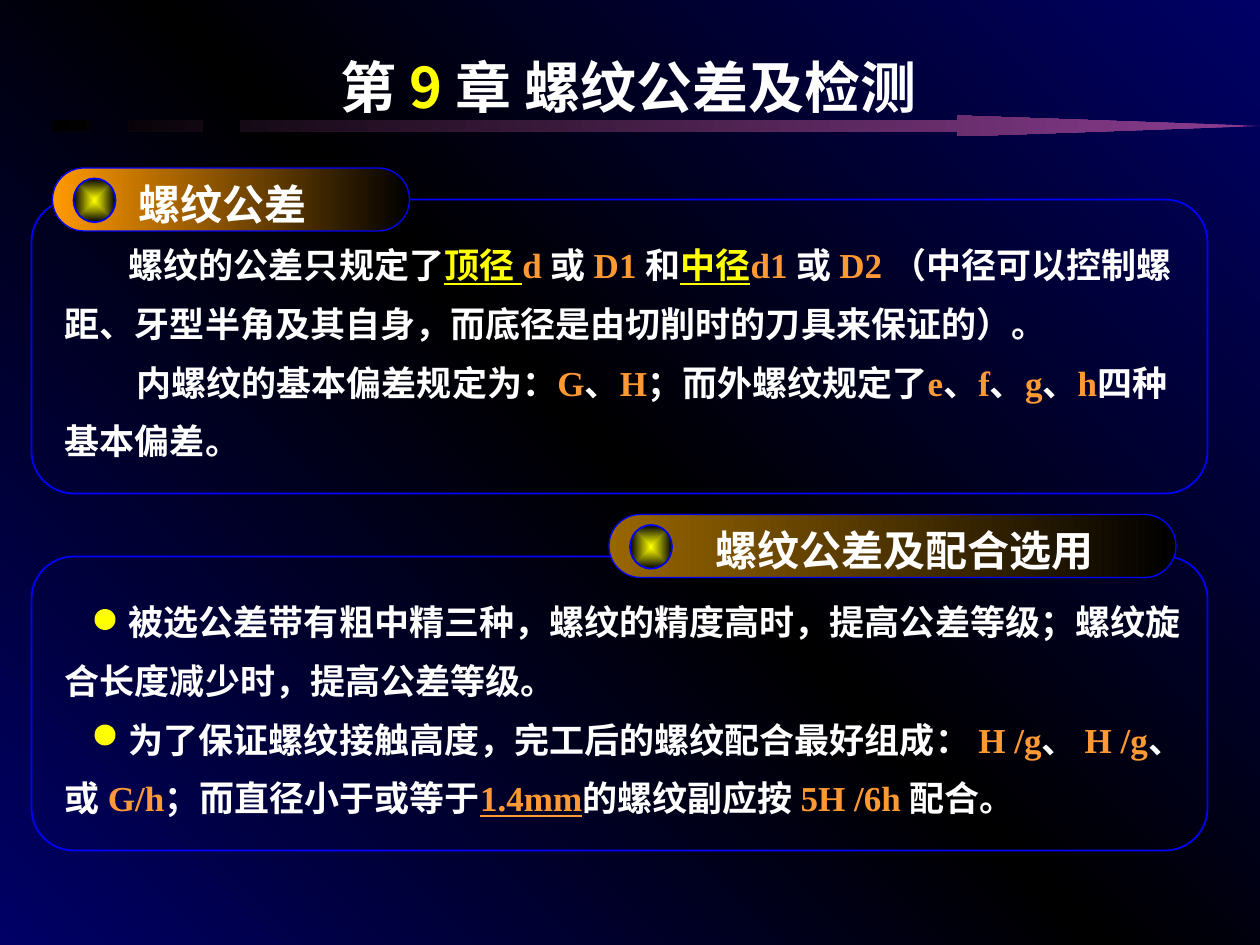
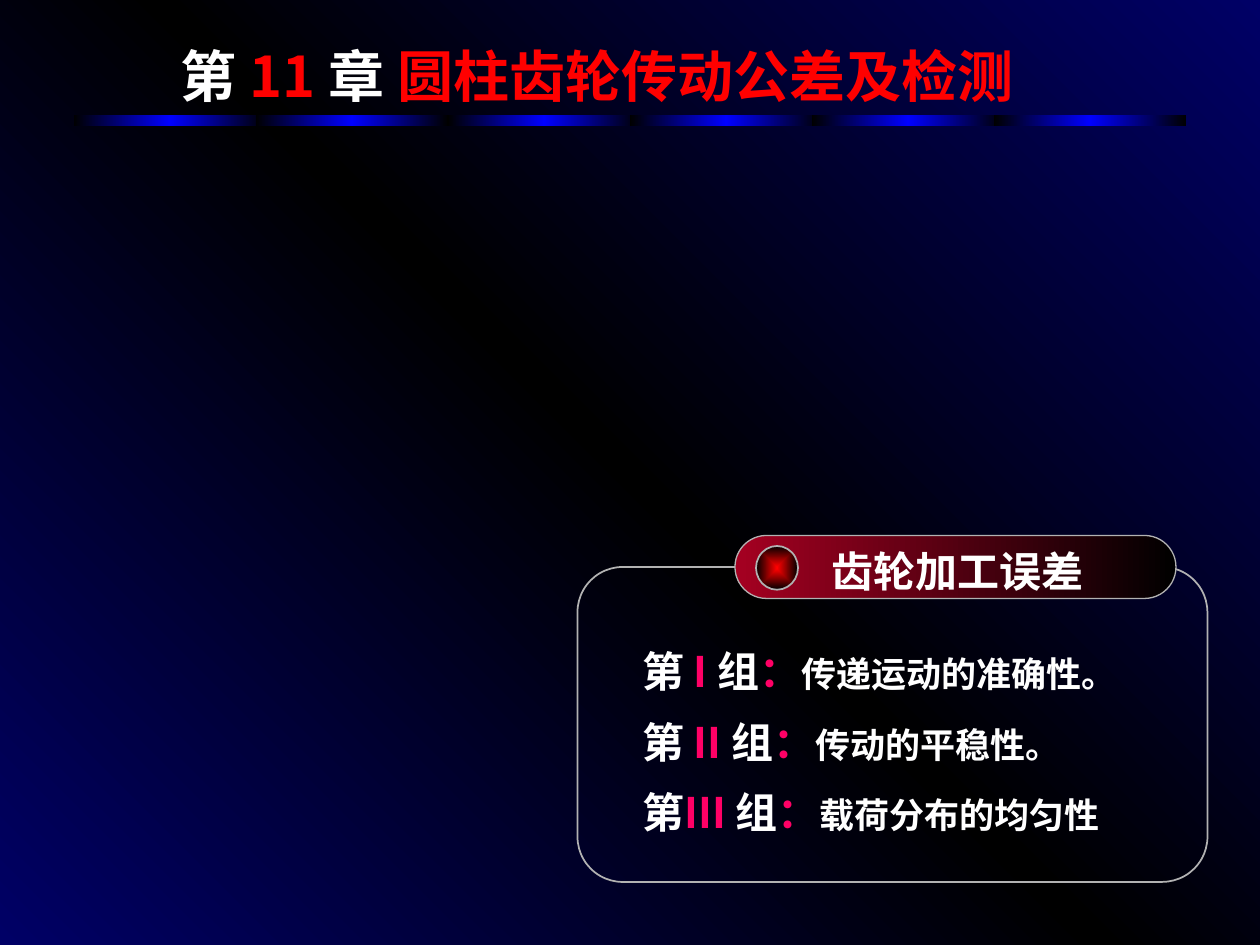
from dataclasses import dataclass
from typing import Any, NamedTuple, Optional

import pptx
import pptx.dml.color
import pptx.enum.shapes
import pptx.enum.text
import pptx.oxml.ns
import pptx.util
from lxml import etree

Pt = pptx.util.Pt
qn = pptx.oxml.ns.qn
SHAPES = pptx.enum.shapes.MSO_SHAPE

SANS = "Noto Sans CJK SC"
SERIF = "Times New Roman"
COLORS = {
    "white": "FFFFFF", "black": "000000", "navy": "000066", "blue": "0000FF",
    "yellow": "FFFF00", "orange": "FF9933", "amber": "FF9900", "brown": "996600",
    "red": "FF0000", "crimson": "A50021", "pink": "FF0066", "purple": "8C3D91",
    "gray": "B2B2B2",
}
TITLE_ONLY = 5
DASH_LEFTS = (42, 146, 256, 360, 464, 568)


class Box(NamedTuple):
    left: float
    top: float
    width: float
    height: float

    def lengths(self) -> list:
        return [Pt(value) for value in self]


class Run(NamedTuple):
    text: str
    color: str = "white"
    underline: bool = False
    font: str = SERIF
    size: float = 20


@dataclass
class Line:
    runs: list[Run]
    indent: float = 0


@dataclass
class Section:
    heading: str
    panel: Box
    pill: Box
    heading_offset: float
    heading_width: float
    body: Box
    lines: list[Line]
    pill_color: str
    stud_color: str
    outline: str
    bullet_tops: tuple[float, ...] = ()


def rgb(name: str) -> pptx.dml.color.RGBColor:
    return pptx.dml.color.RGBColor.from_string(COLORS[name])


def set_gradient(owner: Any, fill: Any, colors: list[str], angle: Optional[int] = None) -> None:
    """Spread colours evenly along an angle, or from the centre when there is none."""
    fill.gradient()
    gradient = owner.element.find(".//" + qn("a:gradFill"))
    for child in list(gradient):
        gradient.remove(child)
    stops = etree.SubElement(gradient, qn("a:gsLst"))
    for index, name in enumerate(colors):
        position = 100000 * index // (len(colors) - 1)
        stop = etree.SubElement(stops, qn("a:gs"), pos=str(position))
        etree.SubElement(stop, qn("a:srgbClr"), val=COLORS[name])
    if angle is None:
        center = etree.SubElement(gradient, qn("a:path"), path="rect")
        sides = dict.fromkeys("ltrb", "50000")
        etree.SubElement(center, qn("a:fillToRect"), **sides)
    else:
        etree.SubElement(gradient, qn("a:lin"), ang=str(angle * 60000), scaled="0")


def add_shape(shapes: Any, kind: Any, box: Box, outline: Optional[str] = None,
              line_width: float = 1, rounding: Optional[float] = None) -> Any:
    """Add an unfilled shape without shadow."""
    shape = shapes.add_shape(kind, *box.lengths())
    shape.shadow.inherit = False
    shape.fill.background()
    if rounding is not None:
        shape.adjustments[0] = rounding
    if outline:
        shape.line.color.rgb = rgb(outline)
        shape.line.width = Pt(line_width)
    else:
        shape.line.fill.background()
    return shape


def add_run(paragraph: Any, text: str, *, color: str = "white", underline: bool = False,
            font: str = SERIF, size: float = 20) -> None:
    run = paragraph.add_run()
    run.text = text
    run.font.name = font
    etree.SubElement(run._r.get_or_add_rPr(), qn("a:ea"), typeface=SANS)
    run.font.size = Pt(size)
    run.font.bold = True
    run.font.underline = underline
    run.font.color.rgb = rgb(color)


def add_text(slide: Any, box: Box, lines: list[Line], spacing: float, grow: bool = False) -> None:
    frame = slide.shapes.add_textbox(*box.lengths()).text_frame
    frame.word_wrap = True
    if grow:
        frame.auto_size = pptx.enum.text.MSO_AUTO_SIZE.SHAPE_TO_FIT_TEXT
    for index, line in enumerate(lines):
        paragraph = frame.add_paragraph() if index else frame.paragraphs[0]
        paragraph.line_spacing = spacing
        if line.indent:
            paragraph._p.get_or_add_pPr().set("indent", str(Pt(line.indent)))
        for run in line.runs:
            add_run(paragraph, **run._asdict())


def set_title(slide: Any, box: Box, parts: list[tuple[str, str]]) -> None:
    title = slide.shapes.title
    title.left, title.top, title.width, title.height = box.lengths()
    frame = title.text_frame
    frame.word_wrap = True
    frame.auto_size = pptx.enum.text.MSO_AUTO_SIZE.NONE
    frame.vertical_anchor = pptx.enum.text.MSO_ANCHOR.BOTTOM
    paragraph = frame.paragraphs[0]
    paragraph.alignment = pptx.enum.text.PP_ALIGN.CENTER
    for text, color in parts:
        add_run(paragraph, text, color=color, font=SANS, size=32)


def add_section(slide: Any, section: Section) -> None:
    """Draw a framed text with a pill-shaped heading on its top edge."""
    pill = section.pill
    add_shape(slide.shapes, SHAPES.ROUNDED_RECTANGLE, section.panel, section.outline, rounding=0.144)
    tab = add_shape(slide.shapes, SHAPES.ROUNDED_RECTANGLE, pill, section.outline, 0.75, 0.5)
    set_gradient(tab, tab.fill, ["black", section.pill_color], 180)
    stud_box = Box(pill.left + 12, pill.top + 6, 24, 25)
    stud = add_shape(slide.shapes, SHAPES.OVAL, stud_box, section.outline)
    set_gradient(stud, stud.fill, [section.stud_color, "black"])
    heading_box = Box(pill.left + section.heading_offset, pill.top - 12, section.heading_width, 48)
    add_text(slide, heading_box, [Line([Run(section.heading, size=24)])], 1.5)
    add_text(slide, section.body, section.lines, 1.4, grow=True)
    for top in section.bullet_tops:
        bullet = add_shape(slide.shapes, SHAPES.OVAL, Box(54, top, 12, 12))
        bullet.fill.solid()
        bullet.fill.fore_color.rgb = rgb("yellow")


def add_arrow_rule(slide: Any) -> None:
    """Draw two dashes and a long arrow as one outline."""
    contours = [
        [(137.5, 69), (547, 69), (547, 66), (720, 72), (547, 78), (547, 75), (137.5, 75)],
        *([(left, 69), (right, 69), (right, 75), (left, 75)]
          for left, right in ((30, 52), (73.5, 116))),
    ]
    builder = None
    for contour in contours:
        start, *rest = [(Pt(x), Pt(y)) for x, y in contour]
        if builder is None:
            builder = slide.shapes.build_freeform(*start)
        else:
            builder.move_to(*start)
        builder.add_line_segments(rest, close=True)
    arrow = builder.convert_to_shape()
    arrow.shadow.inherit = False
    arrow.line.fill.background()
    set_gradient(arrow, arrow.fill, ["purple", "black"], 180)


def add_dashed_rule(slide: Any) -> None:
    group = slide.shapes.add_group_shape()
    for left in DASH_LEFTS:
        dash = add_shape(group.shapes, SHAPES.RECTANGLE, Box(left, 66, 110, 6))
        set_gradient(dash, dash.fill, ["black", "blue", "black"], 180)


def group_line(number: str, meaning: str, prefix: str = "第 ") -> Line:
    parts = [(prefix, "white"), (number, "pink"), ("组", "white"), ("：", "pink")]
    runs = [Run(text, color, font=SANS, size=24) for text, color in parts]
    return Line(runs + [Run(meaning)])


def symbol(text: str, underline: bool = False) -> Run:
    return Run(text, "orange", underline)


def key_term(text: str) -> Run:
    return Run(text, "yellow", True)


TOLERANCE = Section(
    "螺纹公差", Box(18, 114, 672, 168), Box(30, 96, 204, 36), 42, 144,
    Box(30, 126, 654, 142),
    [
        Line([
            Run("螺纹的公差只规定了"), key_term("顶径 "), symbol("d "), Run("或 "),
            symbol("D1 "), Run("和"), key_term("中径"), symbol("d1 "), Run("或 "),
            symbol("D2 "),
            Run("（中径可以控制螺距、牙型半角及其自身，而底径是由切削时的刀具来保证的）。"),
        ], 36.5),
        Line([
            Run("内螺纹的基本偏差规定为："), symbol("G"), Run("、"), symbol("H"),
            Run("；而外螺纹规定了"), symbol("e"), Run("、"), symbol("f"), Run("、"),
            symbol("g"), Run("、"), symbol("h"), Run("四种基本偏差。"),
        ], 41),
    ],
    "amber", "yellow", "blue",
)

FIT_SELECTION = Section(
    "螺纹公差及配合选用", Box(18, 318, 672, 168), Box(348, 294, 324, 36), 54, 252,
    Box(30, 330, 654, 142),
    [
        Line([Run("被选公差带有粗中精三种，螺纹的精度高时，提高公差等级；"
                  "螺纹旋合长度减少时，提高公差等级。")], 36.5),
        Line([
            Run("为了保证螺纹接触高度，完工后的螺纹配合最好组成： "), symbol("H /g"),
            Run("、 "), symbol("H /g"), Run("、或 "), symbol("G/h"),
            Run("；而直径小于或等于"), symbol("1.4mm", True), Run("的螺纹副应按 "),
            symbol("5H /6h "), Run("配合。"),
        ], 36.5),
    ],
    "brown", "yellow", "blue", (348, 414),
)

GEAR_ERRORS = Section(
    "齿轮加工误差", Box(330, 324, 360, 180), Box(420, 306, 252, 36), 48, 186,
    Box(360, 354, 312, 128),
    [
        group_line("I ", "传递运动的准确性。"),
        group_line("II ", "传动的平稳性。"),
        group_line("III ", "载荷分布的均匀性", prefix="第"),
    ],
    "crimson", "red", "gray",
)


def main() -> None:
    presentation = pptx.Presentation()
    presentation.slide_width, presentation.slide_height = Pt(720), Pt(540)
    master = presentation.slide_master
    set_gradient(master, master.background.fill, ["navy", "black", "navy"], 135)
    layout = presentation.slide_layouts[TITLE_ONLY]

    thread_slide = presentation.slides.add_slide(layout)
    set_title(thread_slide, Box(54, 12, 618, 60),
              [("第 ", "white"), ("9 ", "yellow"), ("章 螺纹公差及检测 ", "white")])
    add_arrow_rule(thread_slide)
    for section in (TOLERANCE, FIT_SELECTION):
        add_section(thread_slide, section)

    gear_slide = presentation.slides.add_slide(layout)
    set_title(gear_slide, Box(36, 6, 618, 60),
              [("第 ", "white"), ("11 ", "red"), ("章 ", "white"),
               ("圆柱齿轮传动公差及检测 ", "red")])
    add_section(gear_slide, GEAR_ERRORS)
    add_dashed_rule(gear_slide)

    presentation.save("out.pptx")


if __name__ == "__main__":
    main()
